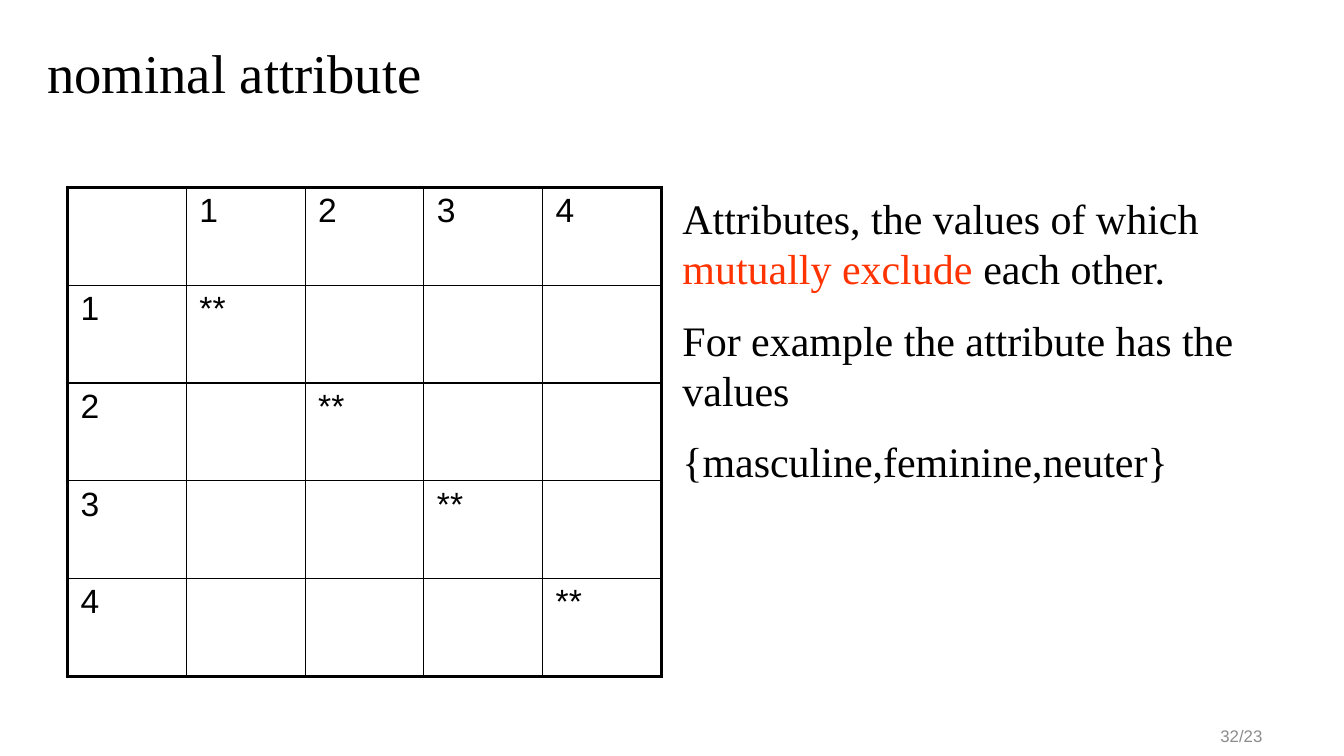
from lxml.etree import SubElement
from pptx import Presentation
from pptx.dml.color import RGBColor
from pptx.enum.text import MSO_ANCHOR as Anchor, PP_ALIGN as Align
from pptx.oxml.ns import qn
from pptx.util import Inches, Pt

COLORS = {"text": "000000", "accent": "FF3300", "muted": "8C8C8C"}
SERIF, SANS = "Times New Roman", "Arial"


def add_text(para, text, size=24, font=SANS, color="text"):
    span = para.add_run()
    span.text = text
    span.font.size = Pt(size)
    span.font.name = font
    span.font.color.rgb = RGBColor.from_string(COLORS[color])


def add_border(cell, side, width):
    line = SubElement(cell._tc.get_or_add_tcPr(), qn(f"a:{side}"), w=str(Pt(width)))
    fill = SubElement(line, qn("a:solidFill"))
    SubElement(fill, qn("a:srgbClr"), val=COLORS["text"])


deck = Presentation()
deck.slide_width, deck.slide_height = Inches(13.33), Inches(7.5)
page = deck.slides.add_slide(deck.slide_layouts[5])

# Title
title = page.shapes.title
title.left, title.top = Inches(0.37), Inches(0.13)
title.width, title.height = Inches(12.09), Inches(1.25)
title.text_frame.vertical_anchor = Anchor.MIDDLE
heading = title.text_frame.paragraphs[0]
heading.alignment = Align.LEFT
heading.line_spacing = 0.9
add_text(heading, "nominal attribute", size=39, font=SERIF)

# Matrix: numbered headers, stars on the diagonal, heavy outer frame
COUNT = 5
matrix = page.shapes.add_table(
    COUNT, COUNT, Inches(0.67), Inches(1.86), Inches(5.89), Inches(4.85)
).table
matrix.first_row = matrix.horz_banding = False
for row in range(COUNT):
    for column in range(COUNT):
        cell = matrix.cell(row, column)
        cell.margin_left = cell.margin_right = Inches(0.13)
        cell.margin_top = cell.margin_bottom = Inches(0.05)
        if row == column and row > 0:
            label = "**"
        elif row == 0 or column == 0:
            label = str(row + column) if row + column else ""
        else:
            label = ""
        if label:
            add_text(cell.text_frame.paragraphs[0], label)
        edges = {"lnL": column == 0, "lnR": column == COUNT - 1,
                 "lnT": row == 0, "lnB": row == COUNT - 1}
        for side, outer in edges.items():
            add_border(cell, side, 2.25 if outer else 1)
        cell.fill.background()

# Explanation
explanation = [
    [("Attributes, the values of which ", "text"), ("mutually exclude", "accent"),
     (" each other.", "text")],
    [("For example the attribute has the values", "text")],
    [("{masculine,feminine,neuter}", "text")],
]
box = page.shapes.add_textbox(Inches(6.67), Inches(1.86), Inches(6.67), Inches(3.13))
frame = box.text_frame
frame.word_wrap = True
for index, parts in enumerate(explanation):
    para = frame.add_paragraph() if index else frame.paragraphs[0]
    para.space_before = Pt(15)
    for text, color in parts:
        add_text(para, text, size=30, font=SERIF, color=color)

# Page number
number = page.shapes.add_textbox(Inches(9.62), Inches(7.1), Inches(3), Inches(0.4))
number.text_frame.vertical_anchor = Anchor.MIDDLE
para = number.text_frame.paragraphs[0]
para.alignment = Align.RIGHT
add_text(para, "32/23", size=12, color="muted")

deck.save("out.pptx")
